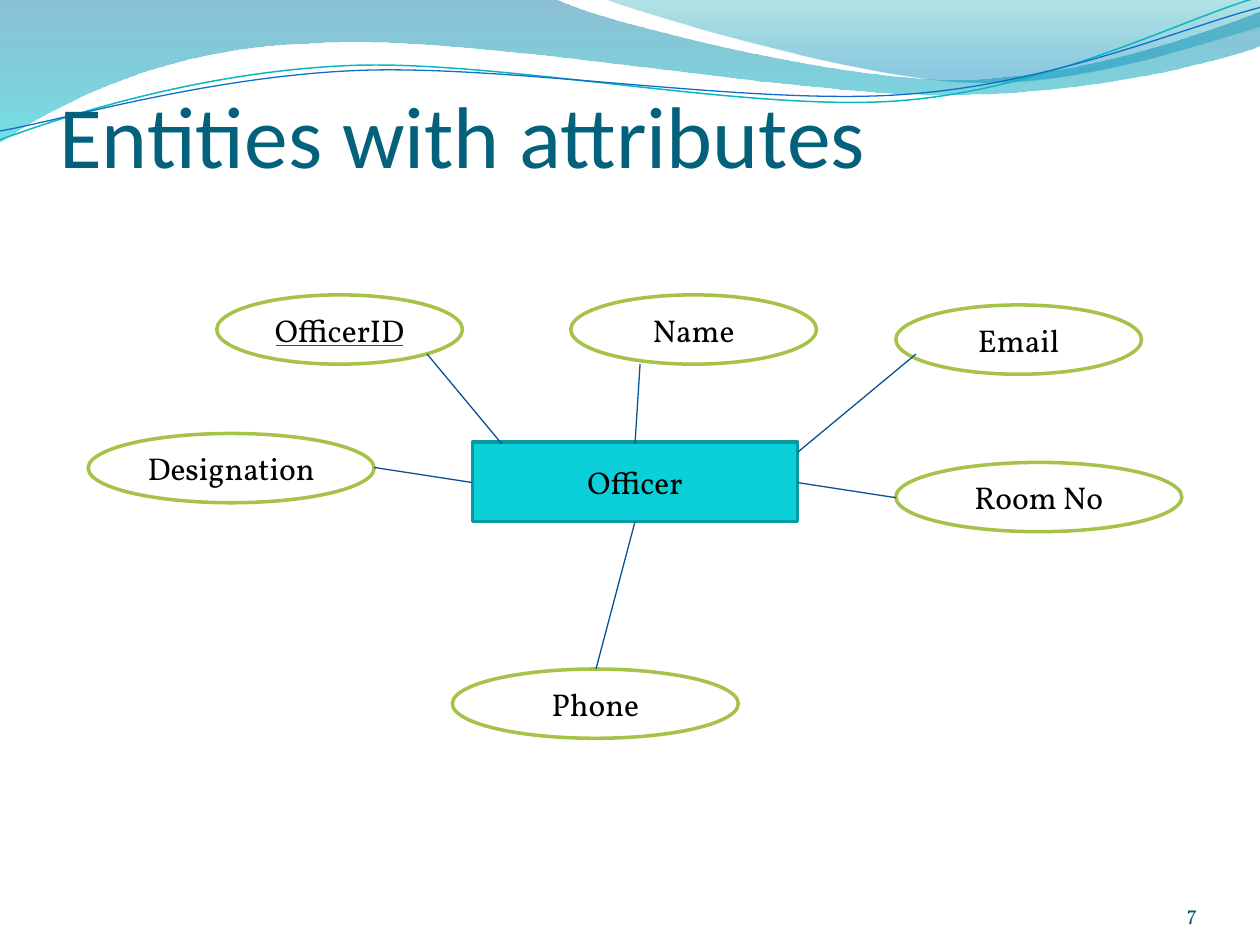
from math import cos, radians, sin

from lxml import etree
from pptx import Presentation
from pptx.dml.color import RGBColor
from pptx.enum.shapes import MSO_CONNECTOR, MSO_SHAPE
from pptx.enum.text import MSO_ANCHOR, PP_ALIGN
from pptx.oxml.ns import qn
from pptx.util import Inches, Pt

STRAIGHT = MSO_CONNECTOR.STRAIGHT
RECTANGLE, ELLIPSE = MSO_SHAPE.RECTANGLE, MSO_SHAPE.OVAL
MIDDLE, BOTTOM = MSO_ANCHOR.MIDDLE, MSO_ANCHOR.BOTTOM
LEFT, CENTER, RIGHT = PP_ALIGN.LEFT, PP_ALIGN.CENTER, PP_ALIGN.RIGHT

COLORS = {
    "title": "04617B", "number": "045D75", "text": "000000",
    "entity": "0BD0D9", "entity_edge": "089AA1",
    "attribute": "FFFFFF", "attribute_edge": "A5C249", "link": "095295",
    "teal_wave": "0AB8BF", "blue_wave": "0F6FC6",
    "band_top": "0074A1", "band_bottom": "00C6CF",
    "crest_top": "00A1A9", "crest_bottom": "008BBF",
}
TILT = 2.7

prs = Presentation()
prs.slide_width, prs.slide_height = Inches(10), Inches(7.5)
slide = prs.slides.add_slide(prs.slide_layouts[6])
shapes = slide.shapes


def color(name):
    return RGBColor.from_string(COLORS[name])


def write(shape, text, size, font, ink, align, anchor, insets=None):
    frame = shape.text_frame
    frame.word_wrap = True
    frame.vertical_anchor = anchor
    for side, inset in (insets or {}).items():
        setattr(frame, "margin_" + side, Inches(inset))
    paragraph = frame.paragraphs[0]
    paragraph.alignment = align
    run = paragraph.add_run()
    run.text = text
    run.font.size, run.font.name = Pt(size), font
    run.font.color.rgb = color(ink)


waves = [
    {"start": (0, 0), "stops": [(0, "band_top", 45), (1, "band_bottom", 55)], "segments": [
        (4.4, -0.01), (4.76, 0.17, 6.64, 0.63, 7.58, 0.63),
        (8.53, 0.63, 9.58, 0.26, 10, 0.09), (10.01, 0.36),
        (9.83, 0.44, 8.7, 0.76, 7.46, 0.75), (6.22, 0.75, 3.82, 0.28, 2.57, 0.34),
        (1.29, 0.36, 0.46, 0.83, -0.01, 1.13)]},
    {"start": (4.79, -0.01), "stops": [(0, "crest_top", 30), (0.8, "crest_bottom", 45)],
     "segments": [(5.09, 0.11, 6.82, 0.62, 7.69, 0.65),
                  (8.56, 0.69, 9.61, 0.32, 10, 0.21), (10, 0)]},
    {"start": (0, 1.11), "line": ("teal_wave", 0.85), "pivot": (4.99, 0.58), "segments": [
        (0.48, 0.93, 1.58, 0.57, 2.77, 0.52), (3.95, 0.47, 5.93, 0.89, 7.13, 0.8),
        (8.33, 0.71, 9.38, 0.15, 9.98, -0.02)]},
    {"start": (0, 1.04), "line": ("blue_wave", 0.75), "pivot": (5, 0.59), "segments": [
        (0.47, 0.96, 1.64, 0.61, 2.83, 0.56), (4.03, 0.51, 5.97, 0.84, 7.17, 0.75),
        (8.36, 0.67, 9.41, 0.21, 10, 0.06)]},
]
for wave in waves:
    points = [wave["start"]]
    for segment in wave["segments"]:
        points += zip(segment[::2], segment[1::2])
    if "pivot" in wave:
        px, py = wave["pivot"]
        c, s = cos(radians(TILT)), sin(radians(TILT))
        points = [(px + (x - px) * c - (y - py) * s, py + (x - px) * s + (y - py) * c)
                  for x, y in points]
    points = [(Inches(x), Inches(y)) for x, y in points]
    builder = shapes.build_freeform(*points[0])
    builder.add_line_segments(points[1:], close="stops" in wave)
    ribbon = builder.convert_to_shape()
    ribbon.shadow.inherit = False

    corners = iter(list(ribbon.element.spPr.iter(qn("a:lnTo"))))
    for segment in wave["segments"]:
        corner = next(corners)
        if len(segment) == 6:
            curve = etree.Element(qn("a:cubicBezTo"))
            corner.addprevious(curve)
            for handle in (corner, next(corners), next(corners)):
                curve.append(handle[0])
                handle.getparent().remove(handle)

    if "line" in wave:
        ink, width = wave["line"]
        ribbon.rotation = 360 - TILT
        ribbon.fill.background()
        ribbon.line.color.rgb = color(ink)
        ribbon.line.width = Pt(width)
        continue
    ribbon.line.fill.background()
    ribbon.fill.gradient()
    ribbon.fill.gradient_angle = 270
    for stop, (position, ink, _) in zip(ribbon.fill.gradient_stops, wave["stops"]):
        stop.position = position
        stop.color.rgb = color(ink)
    tints = ribbon.element.spPr.iter(qn("a:srgbClr"))
    for tint, (_, _, opacity) in zip(tints, wave["stops"]):
        etree.SubElement(tint, qn("a:alpha"), val=str(opacity * 1000))

title = shapes.add_textbox(Inches(0.47), Inches(0.23), Inches(9), Inches(1.25))
write(title, "Entities with attributes", 50, "Calibri", "title", LEFT, BOTTOM,
      {"left": 0, "top": 0.05, "right": 0, "bottom": 0})

nodes = [
    ("Officer", RECTANGLE, "entity", 3.75, 3.51, 2.58, 0.63),
    ("OfficerID", ELLIPSE, "attribute", 1.72, 2.34, 1.95, 0.55),
    ("Name", ELLIPSE, "attribute", 4.53, 2.34, 1.95, 0.55),
    ("Email", ELLIPSE, "attribute", 7.11, 2.42, 1.95, 0.55),
    ("Designation", ELLIPSE, "attribute", 0.7, 3.44, 2.27, 0.55),
    ("Room No", ELLIPSE, "attribute", 7.11, 3.67, 2.27, 0.55),
    ("Phone", ELLIPSE, "attribute", 3.59, 5.31, 2.27, 0.55),
]
for label, outline, role, *box in nodes:
    node = shapes.add_shape(outline, *map(Inches, box))
    node.shadow.inherit = False
    node.fill.solid()
    node.fill.fore_color.rgb = color(role)
    node.line.color.rgb = color(role + "_edge")
    node.line.width = Pt(2)
    write(node, label, 18, "Vollkorn", "text", CENTER, MIDDLE)

key_underline = (2.19, 2.74, 3.2, 2.74)
links = [
    (3.98, 3.52, 3.39, 2.81), (5.04, 3.52, 5.08, 2.89), (6.33, 3.59, 7.27, 2.81),
    (6.33, 3.83, 7.11, 3.95), (3.75, 3.83, 2.97, 3.71), (4.73, 5.31, 5.04, 4.14),
]
for ends in [key_underline, *links]:
    link = shapes.add_connector(STRAIGHT, *map(Inches, ends))
    link.line.color.rgb = color("link")
    link.line.width = Pt(0.75)
    etree.SubElement(link.element.spPr, qn("a:effectLst"))

number = shapes.add_textbox(Inches(8.67), Inches(6.95), Inches(0.83), Inches(0.4))
write(number, "7", 12, "Vollkorn", "number", RIGHT, BOTTOM,
      dict.fromkeys(("left", "top", "right", "bottom"), 0))

prs.save("out.pptx")
